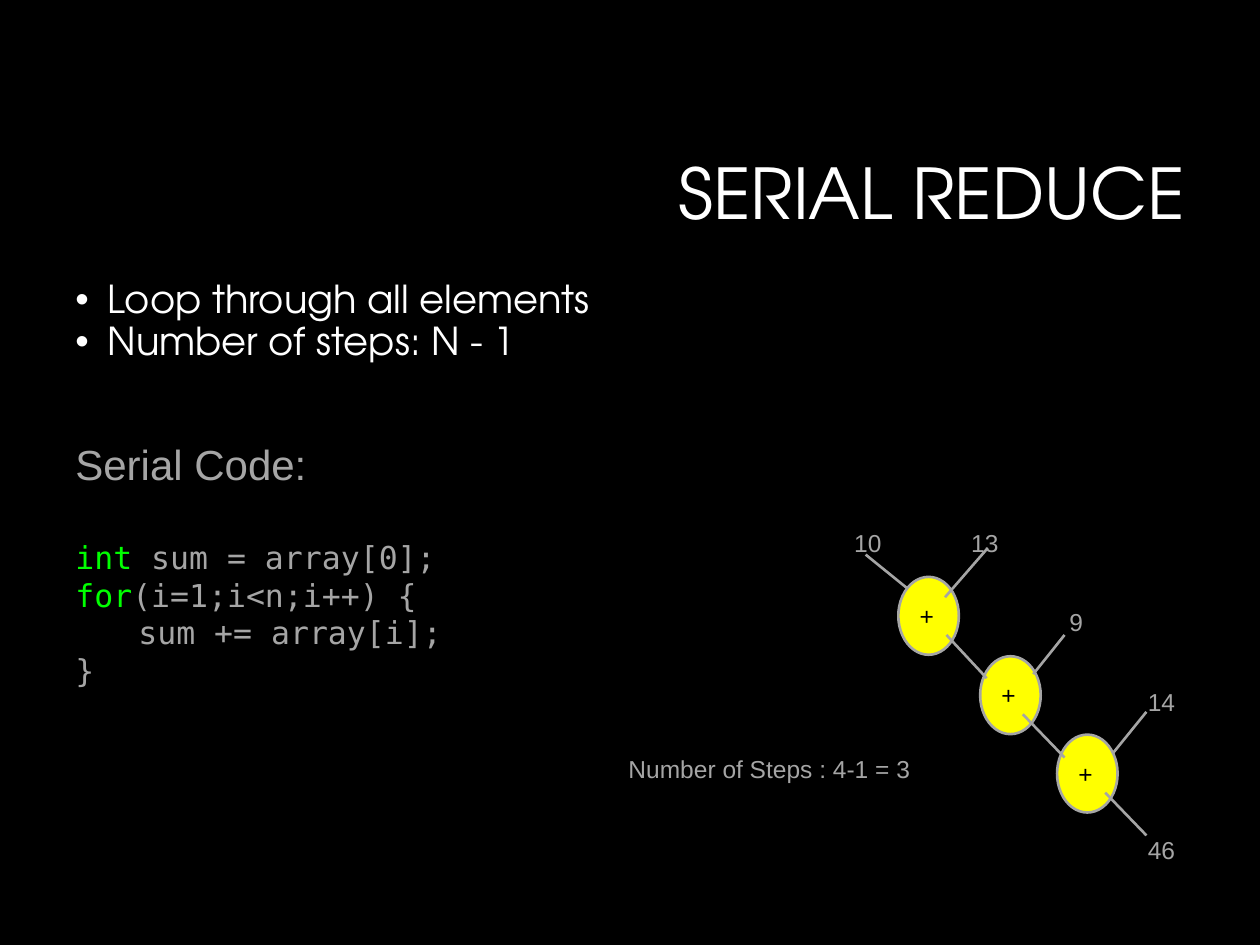
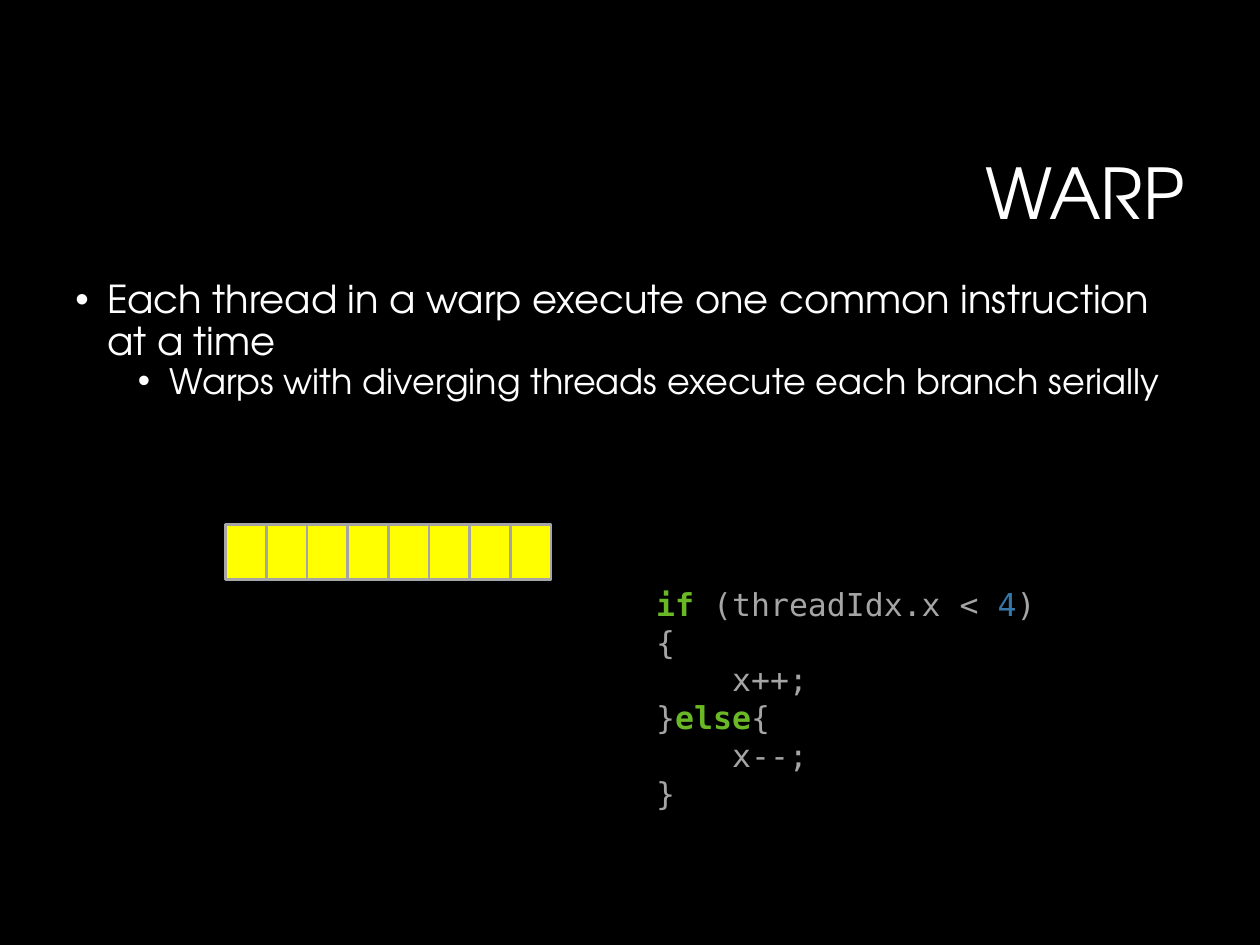
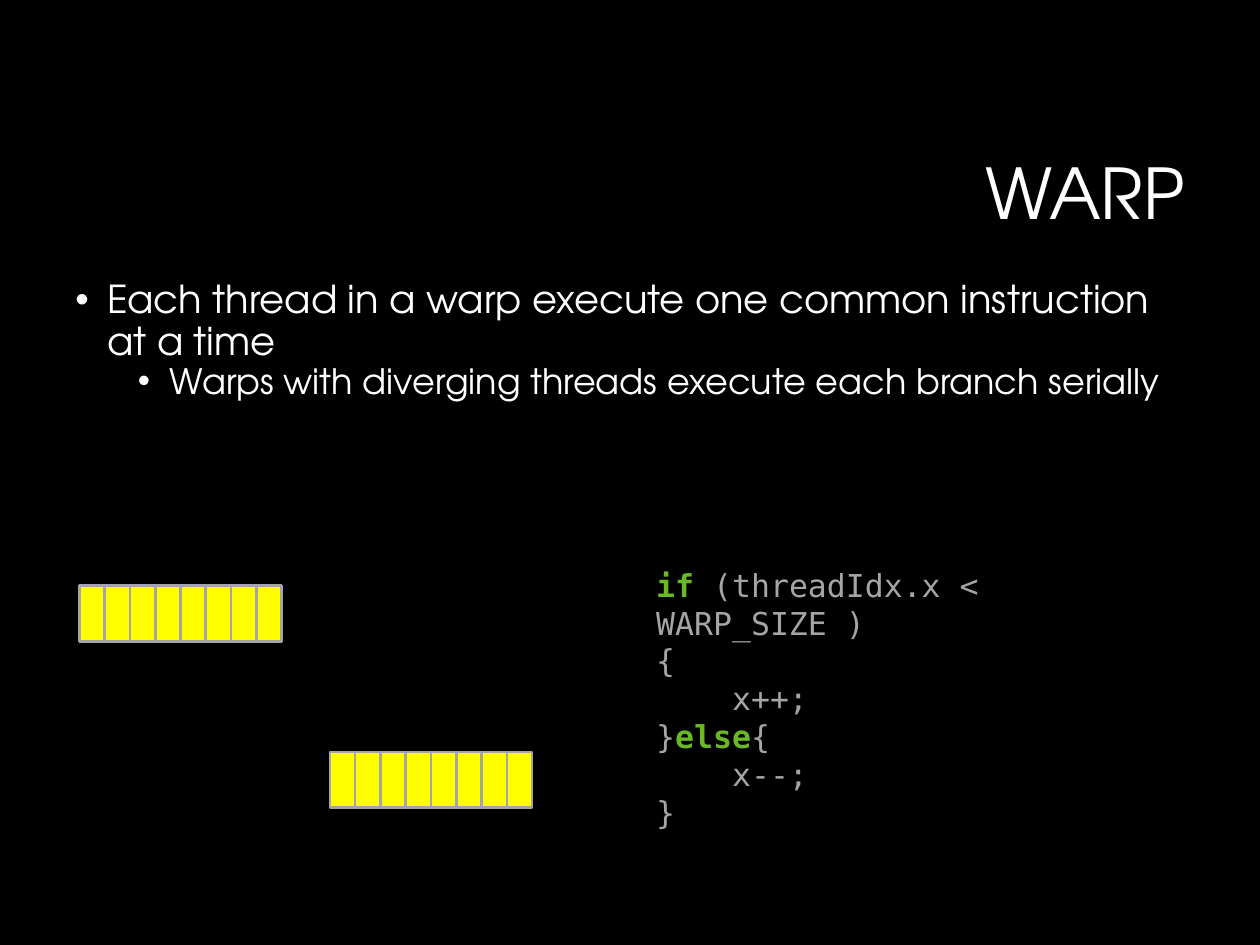
from lxml import etree
from pptx import Presentation
from pptx.dml.color import RGBColor
from pptx.enum import shapes, text
from pptx.oxml import ns
from pptx.util import Cm, Pt

BLACK = RGBColor(0x00, 0x00, 0x00)
WHITE = RGBColor(0xFF, 0xFF, 0xFF)
GRAY = RGBColor(0xA5, 0xA5, 0xA5)
YELLOW = RGBColor(0xFF, 0xFF, 0x00)
LIME = RGBColor(0x00, 0xFF, 0x00)
GREEN = RGBColor(0x6A, 0xB8, 0x25)
BLUE = RGBColor(0x36, 0x77, 0xA9)

TITLE = {"name": "TeX Gyre Adventor", "size": Pt(40), "color": WHITE}
BULLET = TITLE | {"size": Pt(22)}
SUB_BULLET = TITLE | {"size": Pt(20)}
LABEL = {"name": "Arial", "size": Pt(14), "color": GRAY}
HEADING = LABEL | {"size": Pt(24)}
NODE = LABEL | {"color": BLACK}
CODE = {"name": "DejaVu Sans Mono", "size": Pt(18), "color": GRAY}
TYPE = CODE | {"color": LIME}
KEYWORD = CODE | {"color": GREEN, "bold": True}
NUMBER = CODE | {"color": BLUE}

LEFT = {"alignment": text.PP_ALIGN.LEFT}
TIGHT = LEFT | {"line_spacing": 0.9}
RIGHT = TIGHT | {"alignment": text.PP_ALIGN.RIGHT}
TOP = text.MSO_ANCHOR.TOP
MIDDLE = text.MSO_ANCHOR.MIDDLE
BOTTOM = text.MSO_ANCHOR.BOTTOM


def write(box, lines, anchor=TOP):
    frame = box.text_frame
    frame.word_wrap = True
    frame.vertical_anchor = anchor
    for side in ("left", "top", "right", "bottom"):
        setattr(frame, f"margin_{side}", Cm(0.25))
    for index, (layout, spans) in enumerate(lines):
        para = frame.add_paragraph() if index else frame.paragraphs[0]
        for name, value in layout.items():
            if name == "indent":
                para._p.get_or_add_pPr().set("marL", str(value))
            elif name == "bullet":
                properties = para._p.get_or_add_pPr()
                properties.set("indent", str(Cm(-0.64)))
                etree.SubElement(properties, ns.qn("a:buFont"), typeface="Arial")
                etree.SubElement(properties, ns.qn("a:buChar"), char=value)
            else:
                setattr(para, name, value)
        for words, style in spans:
            span = para.add_run()
            span.text = words
            for name, value in style.items():
                if name == "color":
                    span.font.color.rgb = value
                else:
                    setattr(span.font, name, value)


def add_yellow(page, kind, left, top, width, height):
    shape = page.shapes.add_shape(kind, Cm(left), Cm(top), Cm(width), Cm(height))
    shape.shadow.inherit = False
    shape.fill.solid()
    shape.fill.fore_color.rgb = YELLOW
    shape.line.color.rgb = GRAY
    shape.line.width = Pt(1.5)
    return shape


FIRST_LEVEL = TIGHT | {"bullet": "•", "indent": Cm(0.64)}
SECOND_LEVEL = TIGHT | {"bullet": "•", "indent": Cm(1.9), "level": 1}
reduce_points = [
    (FIRST_LEVEL, [("Loop through all elements", BULLET)]),
    (FIRST_LEVEL, [("Number of steps: N - 1", BULLET)]),
]
warp_points = [
    (FIRST_LEVEL, [("Each thread in a warp execute one common instruction at a time", BULLET)]),
    (SECOND_LEVEL, [("Warps with diverging threads execute each branch serially", SUB_BULLET)]),
]

deck = Presentation()
deck.slide_width = Cm(25.4)
deck.slide_height = Cm(19.05)

pages = []
for title, points in (
    ("SERIAL REDUCE", reduce_points),
    ("WARP", warp_points),
    ("WARP", warp_points),
):
    page = deck.slides.add_slide(deck.slide_layouts[6])
    page.background.fill.solid()
    page.background.fill.fore_color.rgb = BLACK
    box = page.shapes.add_textbox(Cm(1.27), Cm(0.76), Cm(22.86), Cm(4.22))
    write(box, [(RIGHT, [(title, TITLE)])], BOTTOM)
    box = page.shapes.add_textbox(Cm(1.27), Cm(5.41), Cm(22.86), Cm(12.83))
    write(box, points)
    pages.append(page)
reduce_page, branch_page, warp_size_page = pages

for left, top in ((18.11, 11.63), (19.76, 13.23), (21.31, 14.81)):
    node = add_yellow(reduce_page, shapes.MSO_SHAPE.OVAL, left, top, 1.22, 1.57)
    write(node, [(LEFT, [("+", NODE)])], MIDDLE)

for ends in (
    (18.29, 11.86, 17.45, 11.18),
    (19.05, 12.04, 19.91, 11.05),
    (19.89, 13.67, 19.08, 12.8),
    (20.83, 13.59, 21.46, 12.8),
    (22.43, 15.19, 23.11, 14.35),
    (23.11, 16.84, 22.28, 15.98),
    (21.46, 15.27, 20.62, 14.4),
):
    branch = reduce_page.shapes.add_connector(
        shapes.MSO_CONNECTOR.STRAIGHT, *(Cm(end) for end in ends)
    )
    branch.line.color.rgb = GRAY
    branch.line.width = Pt(1.5)
    etree.SubElement(branch._element.spPr, ns.qn("a:effectLst"))

for words, left, top, width in (
    ("10", 16.97, 10.39, 1.24),
    ("13", 19.33, 10.39, 1.24),
    ("9", 21.31, 11.99, 1.24),
    ("14", 22.89, 13.59, 1.24),
    ("46", 22.89, 16.59, 1.24),
    ("Number of Steps : 4-1 = 3", 12.42, 14.96, 7.11),
):
    box = reduce_page.shapes.add_textbox(Cm(left), Cm(top), Cm(width), Cm(1.12))
    write(box, [(LEFT, [(words, LABEL)])])

serial_code = [
    (LEFT, [("Serial Code:", HEADING)]),
    (LEFT | {"space_before": Pt(28)}, [("int ", TYPE), ("sum = array[0];", CODE)]),
    (LEFT, [("for", TYPE), ("(i=1;i<n;i++) {", CODE)]),
    (LEFT | {"indent": Cm(1.27)}, [("sum += array[i];", CODE)]),
    (LEFT, [("}", CODE)]),
]
box = reduce_page.shapes.add_textbox(Cm(1.27), Cm(8.59), Cm(13.39), Cm(5.64))
write(box, serial_code)

branches = [
    (LEFT, [("{", CODE)]),
    (LEFT, [("    x++;", CODE)]),
    (LEFT, [("}", CODE), ("else", KEYWORD), ("{", CODE)]),
    (LEFT, [("    x--;", CODE)]),
    (LEFT, [("}", CODE)]),
]
for page, width, condition in (
    (branch_page, 8.33, [(" (threadIdx.x < ", CODE), ("4", NUMBER), (")", CODE)]),
    (warp_size_page, 10.69, [(" (threadIdx.x < WARP_SIZE )", CODE)]),
):
    box = page.shapes.add_textbox(Cm(12.98), Cm(11.51), Cm(width), Cm(5.13))
    write(box, [(LEFT, [("if", KEYWORD), *condition]), *branches], MIDDLE)

for page, left, top, width in (
    (branch_page, 4.55, 10.57, 0.82),
    (warp_size_page, 1.6, 11.81, 0.51),
    (warp_size_page, 6.65, 15.16, 0.51),
):
    for thread in range(8):
        add_yellow(page, shapes.MSO_SHAPE.RECTANGLE, left + thread * width, top, width, 1.12)

deck.save("out.pptx")
